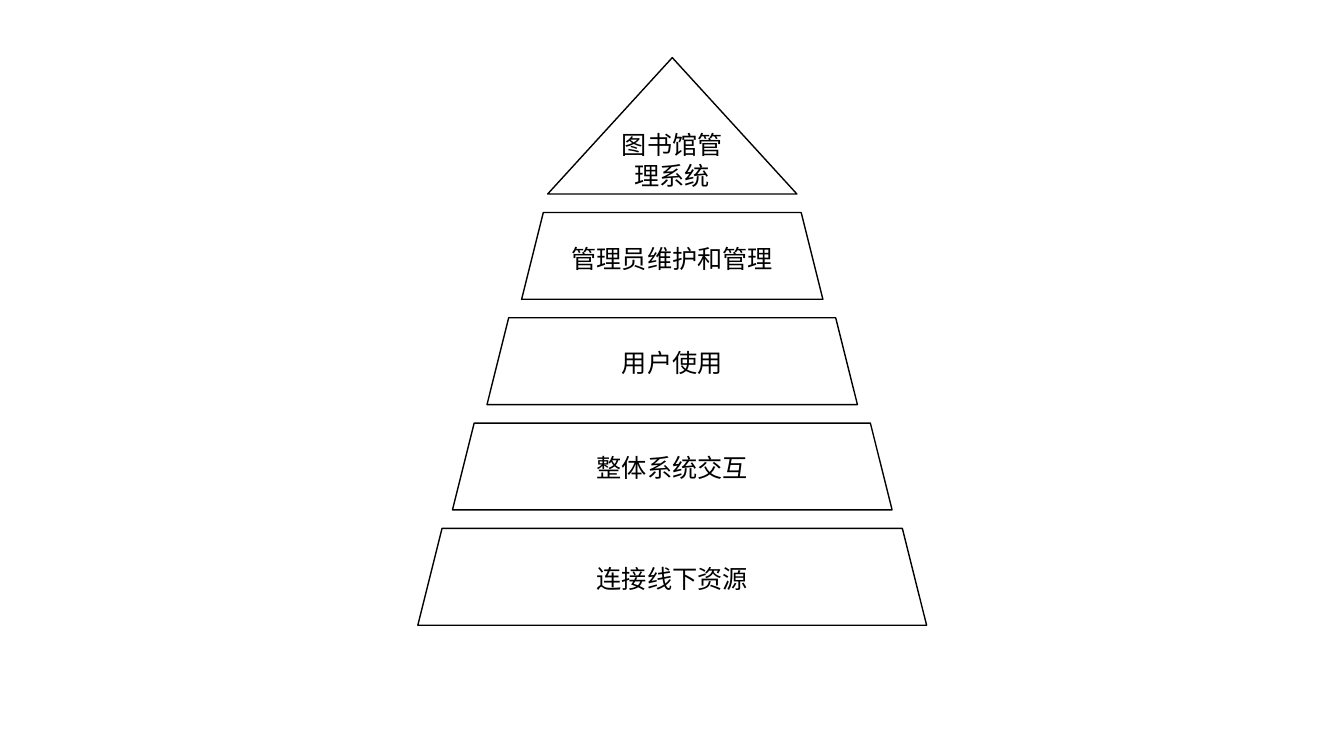
import pptx
import pptx.dml.color
import pptx.enum.shapes
import pptx.enum.text
import pptx.oxml.ns
import pptx.util
from lxml import etree

Pt = pptx.util.Pt
Shape = pptx.enum.shapes.MSO_SHAPE
BLACK = pptx.dml.color.RGBColor(0x00, 0x00, 0x00)
WHITE = pptx.dml.color.RGBColor(0xFF, 0xFF, 0xFF)
FONT = "Noto Sans CJK SC"

CENTER = 480.2
PEAK = "图书馆管理系统"
LAYERS = ["管理员维护和管理", "用户使用", "整体系统交互", "连接线下资源"]
LAYER_TOP, LAYER_STEP = 151.8, 75.2
LAYER_WIDTH, WIDTH_STEP = 215.2, 49.4
LAYER_HEIGHT, BASE_HEIGHT = 62, 69.2


def write_text(frame, text, size=18, color=BLACK, font=FONT):
    frame.word_wrap = True
    frame.vertical_anchor = pptx.enum.text.MSO_ANCHOR.MIDDLE
    paragraph = frame.paragraphs[0]
    paragraph.alignment = pptx.enum.text.PP_ALIGN.CENTER
    run = paragraph.add_run()
    run.text = text
    run.font.size = Pt(size)
    run.font.color.rgb = color
    run.font.name = font
    properties = run.font._element
    etree.SubElement(properties, pptx.oxml.ns.qn("a:ea"), typeface=font)


class Pyramid:
    def __init__(self, slide, fill=WHITE, line=BLACK, line_width=1):
        self.slide = slide
        self.fill = fill
        self.line = line
        self.line_width = line_width

    def level(self, kind, text, top, width, height):
        level = self.slide.shapes.add_shape(
            kind, Pt(CENTER - width / 2), Pt(top), Pt(width), Pt(height))
        level.shadow.inherit = False
        level.fill.solid()
        level.fill.fore_color.rgb = self.fill
        level.line.color.rgb = self.line
        level.line.width = Pt(self.line_width)
        write_text(level.text_frame, text)


def main():
    deck = pptx.Presentation()
    deck.slide_width, deck.slide_height = Pt(960), Pt(540)
    pyramid = Pyramid(deck.slides.add_slide(deck.slide_layouts[6]))
    for index, layer in enumerate(LAYERS):
        height = BASE_HEIGHT if layer == LAYERS[-1] else LAYER_HEIGHT
        pyramid.level(Shape.TRAPEZOID, layer, LAYER_TOP + index * LAYER_STEP,
                      LAYER_WIDTH + index * WIDTH_STEP, height)
    pyramid.level(Shape.ISOSCELES_TRIANGLE, PEAK, 41.2, 178, 97.4)
    deck.save("out.pptx")


if __name__ == "__main__":
    main()
